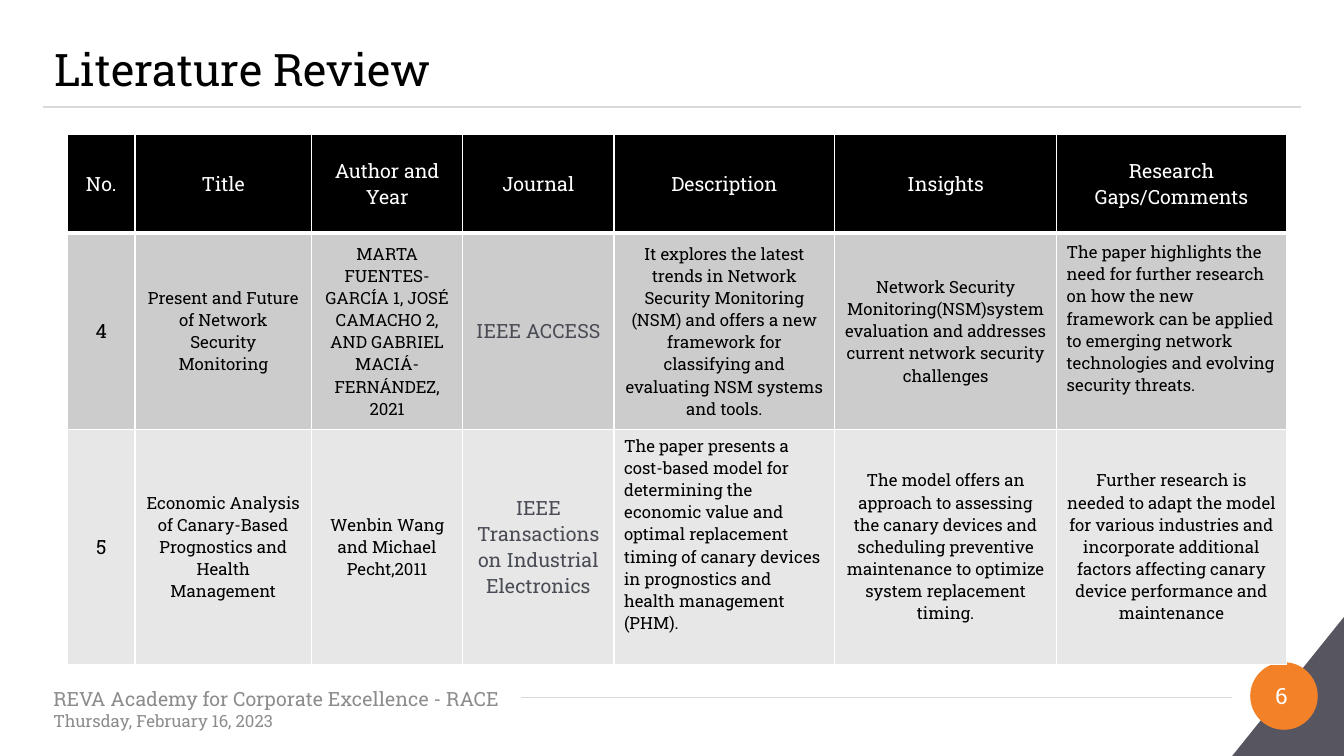
"""Build the literature review slide with its table, footer and page badge."""
from lxml.etree import SubElement
from pptx import Presentation
from pptx.dml.color import RGBColor
from pptx.enum.shapes import MSO_CONNECTOR, MSO_SHAPE
from pptx.enum.text import MSO_ANCHOR as Anchor, PP_ALIGN as Align
from pptx.oxml import parse_xml
from pptx.oxml.ns import nsdecls, qn
from pptx.util import Inches, Pt

FONT = "Roboto Slab"
COLORS = {
    "black": "000000", "white": "FFFFFF", "rule": "D9D9D9", "corner": "575560",
    "badge": "F28128", "footer": "8C8C8C", "journal": "4A4C55",
}
ROW_FILLS = ["000000", "CCCCCC", "E7E7E7"]
TITLE = "Literature Review"
PAGE_NUMBER = "6"
FOOTER = [("REVA Academy for Corporate Excellence - RACE", 14),
          ("Thursday, February 16, 2023", 12)]
RULES = [(0.43, 12.9, 1.06), (5.17, 12.22, 6.92)]
CORNER = [(12.22, 7.5), (13.33, 7.5), (13.33, 6.12)]
COLUMN_WIDTHS = [0.67, 1.75, 1.5, 1.5, 2.19, 2.2, 2.28]
ROW_HEIGHTS = [0.98, 1.95, 2.33]
ROWS = [
    ["No.", "Title", "Author and Year", "Journal", "Description", "Insights",
     "Research Gaps/Comments"],
    ["4",
     "Present and Future of Network Security\nMonitoring",
     "MARTA FUENTES-GARCÍA 1, JOSÉ CAMACHO 2, AND GABRIEL MACIÁ-FERNÁNDEZ, 2021",
     "IEEE ACCESS",
     "It explores the latest trends in Network Security Monitoring (NSM) and offers "
     "a new framework for classifying and evaluating NSM systems and tools.",
     "Network Security Monitoring(NSM)system evaluation and addresses current "
     "network security challenges",
     "The paper highlights the need for further research on how the new framework "
     "can be applied to emerging network technologies and evolving security threats."],
    ["5",
     "Economic Analysis of Canary-Based\nPrognostics and Health Management",
     "Wenbin Wang and Michael Pecht,2011",
     "IEEE Transactions on Industrial Electronics",
     "The paper presents a cost-based model for determining the economic value and "
     "optimal replacement timing of canary devices in prognostics and health "
     "management (PHM).",
     "The model offers an approach to assessing the canary devices and scheduling "
     "preventive maintenance to optimize system replacement timing.",
     "Further research is needed to adapt the model for various industries and "
     "incorporate additional factors affecting canary device performance and "
     "maintenance"],
]
NUMBER_COLUMN, JOURNAL_COLUMN = 0, 3
LEFT_ALIGNED = {(1, 6), (2, 4)}


def rgb(name):
    return RGBColor.from_string(COLORS[name])


def style(para, size, color, align=Align.LEFT):
    para.alignment = align
    para.font.name = FONT
    para.font.size = Pt(size)
    para.font.bold = False
    para.font.color.rgb = rgb(color)


def paint(shape, color):
    shape.shadow.inherit = False
    shape.fill.solid()
    shape.fill.fore_color.rgb = rgb(color)
    shape.line.fill.background()


def add_rule(page, left, right, top):
    rule = page.shapes.add_connector(MSO_CONNECTOR.STRAIGHT, Inches(left), Inches(top),
                                     Inches(right), Inches(top))
    rule.line.color.rgb = rgb("rule")
    rule.line.width = Pt(1)
    SubElement(rule._element.spPr, qn("a:effectLst"))


def add_borders(cell, top, bottom):
    properties = cell._tc.get_or_add_tcPr()
    sides = [("lnL", 1), ("lnR", 1), ("lnT", top), ("lnB", bottom)]
    for position, (side, width) in enumerate(sides):
        properties.insert(position, parse_xml(
            f'<a:{side} {nsdecls("a")} w="{Pt(width)}"><a:solidFill>'
            f'<a:srgbClr val="{COLORS["white"]}"/></a:solidFill></a:{side}>'))


def add_badge(page):
    badge = page.shapes.add_shape(MSO_SHAPE.OVAL, Inches(12.4), Inches(6.57),
                                  Inches(0.67), Inches(0.67))
    paint(badge, "badge")
    frame = badge.text_frame
    frame.margin_left = frame.margin_top = frame.margin_bottom = 0
    frame.margin_right = Inches(0.05)
    frame.vertical_anchor = Anchor.MIDDLE
    frame.text = PAGE_NUMBER
    style(frame.paragraphs[0], 16, "white", Align.CENTER)


def add_footer(page):
    box = page.shapes.add_textbox(Inches(0.43), Inches(6.83), Inches(4.92), Inches(0.4))
    frame = box.text_frame
    frame.word_wrap = True
    frame.vertical_anchor = Anchor.MIDDLE
    frame.text = "\n".join(text for text, size in FOOTER)
    for para, (text, size) in zip(frame.paragraphs, FOOTER):
        style(para, size, "footer")


def fill_cell(cell, row, column):
    cell.text = ROWS[row][column]
    cell.vertical_anchor = Anchor.MIDDLE
    cell.fill.solid()
    cell.fill.fore_color.rgb = RGBColor.from_string(ROW_FILLS[row])
    add_borders(cell, 3 if row == 1 else 1, 3 if row == 0 else 1)
    left_aligned = (row, column) in LEFT_ALIGNED
    if left_aligned:
        cell.margin_bottom = Inches(0.3)
    large = row == 0 or column in (NUMBER_COLUMN, JOURNAL_COLUMN)
    color = "white" if row == 0 else "journal" if column == JOURNAL_COLUMN else "black"
    for para in cell.text_frame.paragraphs:
        style(para, 14 if large else 12, color,
              Align.LEFT if left_aligned else Align.CENTER)


def add_review_table(page):
    frame = page.shapes.add_table(len(ROWS), len(COLUMN_WIDTHS), Inches(0.67), Inches(1.33),
                                  Inches(sum(COLUMN_WIDTHS)), Inches(sum(ROW_HEIGHTS)))
    table = frame.table
    table.first_row = table.horz_banding = False
    for column, width in zip(table.columns, COLUMN_WIDTHS):
        column.width = Inches(width)
    for row, height in enumerate(ROW_HEIGHTS):
        table.rows[row].height = Inches(height)
        for column in range(len(COLUMN_WIDTHS)):
            fill_cell(table.cell(row, column), row, column)


def main():
    deck = Presentation()
    deck.slide_width, deck.slide_height = Inches(13.33), Inches(7.5)
    page = deck.slides.add_slide(deck.slide_layouts[5])

    title = page.shapes.title
    title.left, title.top = Inches(0.44), Inches(0.3)
    title.width, title.height = Inches(8.25), Inches(0.76)
    title.text_frame.text = TITLE
    title.text_frame.vertical_anchor = Anchor.MIDDLE
    style(title.text_frame.paragraphs[0], 32, "black")

    for left, right, top in RULES:
        add_rule(page, left, right, top)
    points = [(Inches(x), Inches(y)) for x, y in CORNER]
    builder = page.shapes.build_freeform(*points[0])
    builder.add_line_segments(points[1:])
    paint(builder.convert_to_shape(), "corner")
    add_badge(page)
    add_footer(page)
    add_review_table(page)
    deck.save("out.pptx")


if __name__ == "__main__":
    main()
